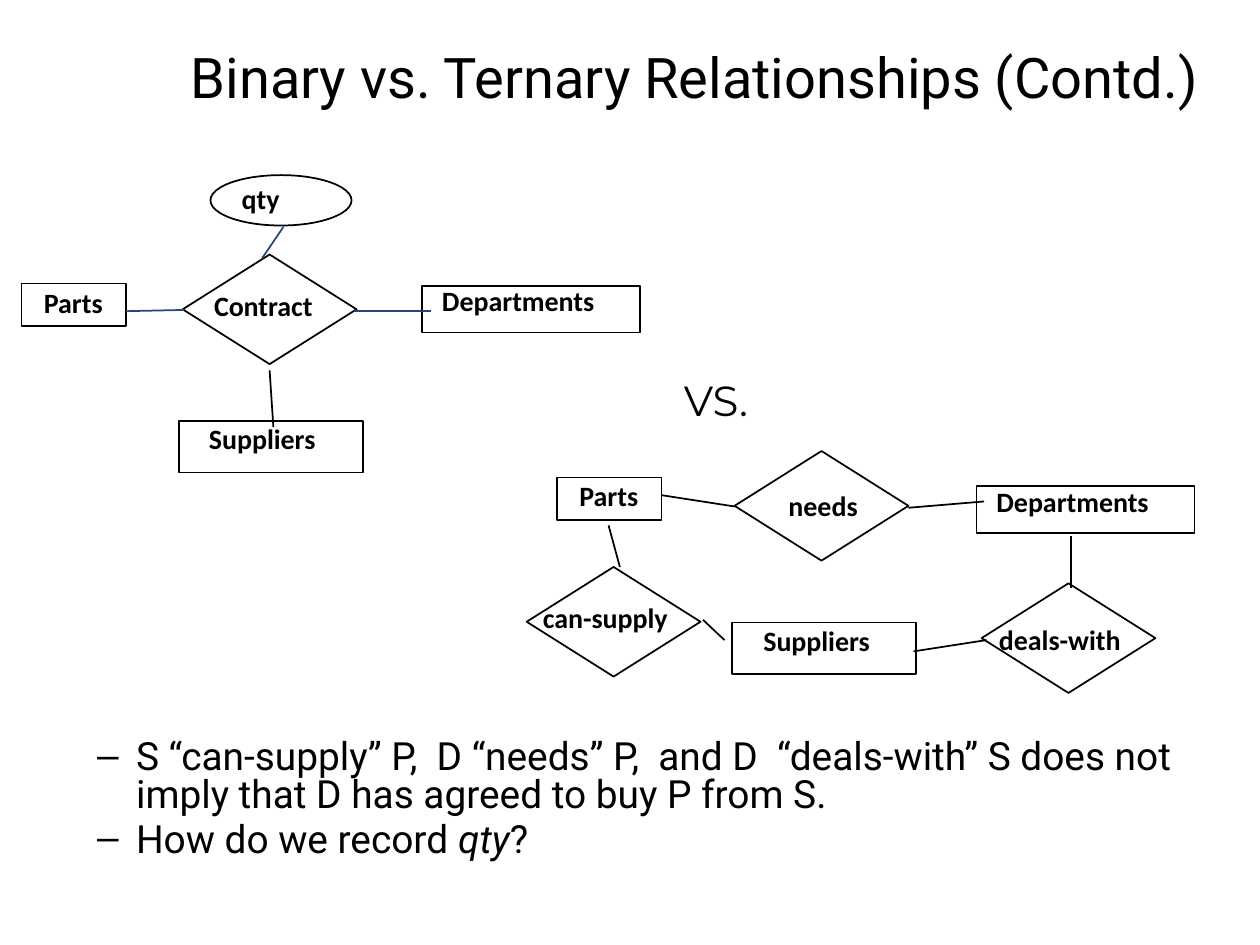
"""Build the slide that compares binary and ternary relationships."""
import pptx
import pptx.dml.color
import pptx.enum.shapes
import pptx.enum.text
import pptx.oxml.ns
import pptx.util
from lxml import etree

BLACK = pptx.dml.color.RGBColor(0x00, 0x00, 0x00)
BLUE = pptx.dml.color.RGBColor(0x1F, 0x49, 0x7D)
SHAPE = pptx.enum.shapes.MSO_SHAPE
AUTO = pptx.enum.text.MSO_AUTO_SIZE

prs = pptx.Presentation()
prs.slide_width = pptx.util.Inches(10)
prs.slide_height = pptx.util.Inches(7.5)
COL = prs.slide_width / 100
ROW = prs.slide_height / 75
slide = prs.slides.add_slide(prs.slide_layouts[1])


def cells(x, y, w, h):
    return int(x * COL), int(y * ROW), int(w * COL), int(h * ROW)


def add_run(p, text, size, font, bold=False, italic=False):
    r = p.add_run()
    r.text = text
    r.font.size = pptx.util.Pt(size)
    r.font.name = font
    r.font.bold = bold
    r.font.italic = italic
    r.font.color.rgb = BLACK


title, body = slide.placeholders
for sp, box in ((title, (12.8, 0, 84.7, 12.1)), (body, (1.7, 58.3, 98.3, 10.8))):
    sp.left, sp.top, sp.width, sp.height = cells(*box)
    sp.text_frame.auto_size = AUTO.NONE

p = title.text_frame.paragraphs[0]
p.alignment = pptx.enum.text.PP_ALIGN.CENTER
add_run(p, "Binary vs. Ternary Relationships (Contd.)", 32, "Roboto")

points = [
    [("S “can-supply” P,  D “needs” P,  and D  “deals-with” S does not "
      "imply that D has agreed to buy P from S.", False)],
    [("How do we record ", False), ("qty", True), ("?", False)],
]
tf = body.text_frame
for i, parts in enumerate(points):
    p = tf.add_paragraph() if i else tf.paragraphs[0]
    p.level = 1
    p.line_spacing = 0.8
    p.space_before = pptx.util.Pt(4.4)
    pPr = p._p.get_or_add_pPr()
    pPr.set("marL", str(pptx.util.Inches(0.81)))
    pPr.set("indent", str(pptx.util.Inches(-0.31)))
    bullet = etree.SubElement(pPr, pptx.oxml.ns.qn("a:buChar"))
    bullet.set("char", "–")
    for text, italic in parts:
        add_run(p, text, 22.2, "Roboto", italic=italic)

sizes = {
    "Parts": (8.3, 3.4),
    "Departments": (17.3, 3.7),
    "Suppliers": (14.6, 4.1),
    "qty": (11.2, 4),
}
diamond_size = (13.8, 8.7)
nodes = [
    ("qty", 16.7, 13.9, 18.2, 13.9, 5.3),
    ("Parts", 1.7, 22.5, 2.5, 22.2, 7.5),
    ("Contract", 14.5, 20.2, 16, 22.4, 11.1),
    ("Departments", 33.5, 22.7, 34.1, 22, 15.6),
    ("Suppliers", 14.2, 33.4, 15.6, 33, 12.1),
    ("Parts", 44.2, 37.9, 45, 37.5, 7.5),
    ("needs", 58.3, 35.8, 61.6, 38.3, 8.4),
    ("Departments", 77.5, 38.6, 78.1, 38, 15.6),
    ("can-supply", 41.8, 45, 42.1, 47.2, 13.7),
    ("Suppliers", 58.1, 49.4, 59.6, 49, 12.1),
    ("deals-with", 77.9, 46.3, 78.3, 48.9, 12.8),
]
for name, x, y, label_x, label_y, label_w in nodes:
    kind = SHAPE.RECTANGLE if name in sizes else SHAPE.DIAMOND
    if name == "qty":
        kind = SHAPE.OVAL
    sp = slide.shapes.add_shape(kind, *cells(x, y, *sizes.get(name, diamond_size)))
    sp.shadow.inherit = False
    sp.fill.background()
    sp.line.color.rgb = BLACK
    sp.line.width = pptx.util.Pt(1)
    tb = slide.shapes.add_textbox(*cells(label_x, label_y, label_w, 3.6))
    tb.text_frame.word_wrap = False
    tb.text_frame.auto_size = AUTO.SHAPE_TO_FIT_TEXT
    add_run(tb.text_frame.paragraphs[0], name, 16, "Calibri", bold=True)

links = [
    (28.1, 24.7, 34.2, 24.7, BLUE),
    (22.5, 18, 20.8, 20.5, BLUE),
    (14.6, 24.6, 10, 24.7, BLUE),
    (21.4, 29.4, 21.7, 33.9, BLACK),
    (48.3, 41.7, 49.2, 45, BLACK),
    (55.8, 49.2, 57.5, 50.8, BLACK),
    (72.5, 51.7, 78.3, 50.8, BLACK),
    (85, 46.7, 85, 42.5, BLACK),
    (52.5, 39.3, 58.3, 40.2, BLACK),
    (72.1, 40.3, 78.1, 39.8, BLACK),
]
for x1, y1, x2, y2, color in links:
    line = slide.shapes.add_connector(
        pptx.enum.shapes.MSO_CONNECTOR.STRAIGHT, *cells(x1, y1, x2, y2))
    line.line.color.rgb = color
    line.line.width = pptx.util.Pt(1)
    etree.SubElement(line._element.spPr, pptx.oxml.ns.qn("a:effectLst"))

tb = slide.shapes.add_textbox(*cells(53.3, 29.2, 10, 5.7))
tf = tb.text_frame
tf.word_wrap = True
tf.auto_size = AUTO.SHAPE_TO_FIT_TEXT
p = tf.paragraphs[0]
p.space_before = pptx.util.Pt(12)
add_run(p, "VS.", 24, "Montserrat")

prs.save("out.pptx")
